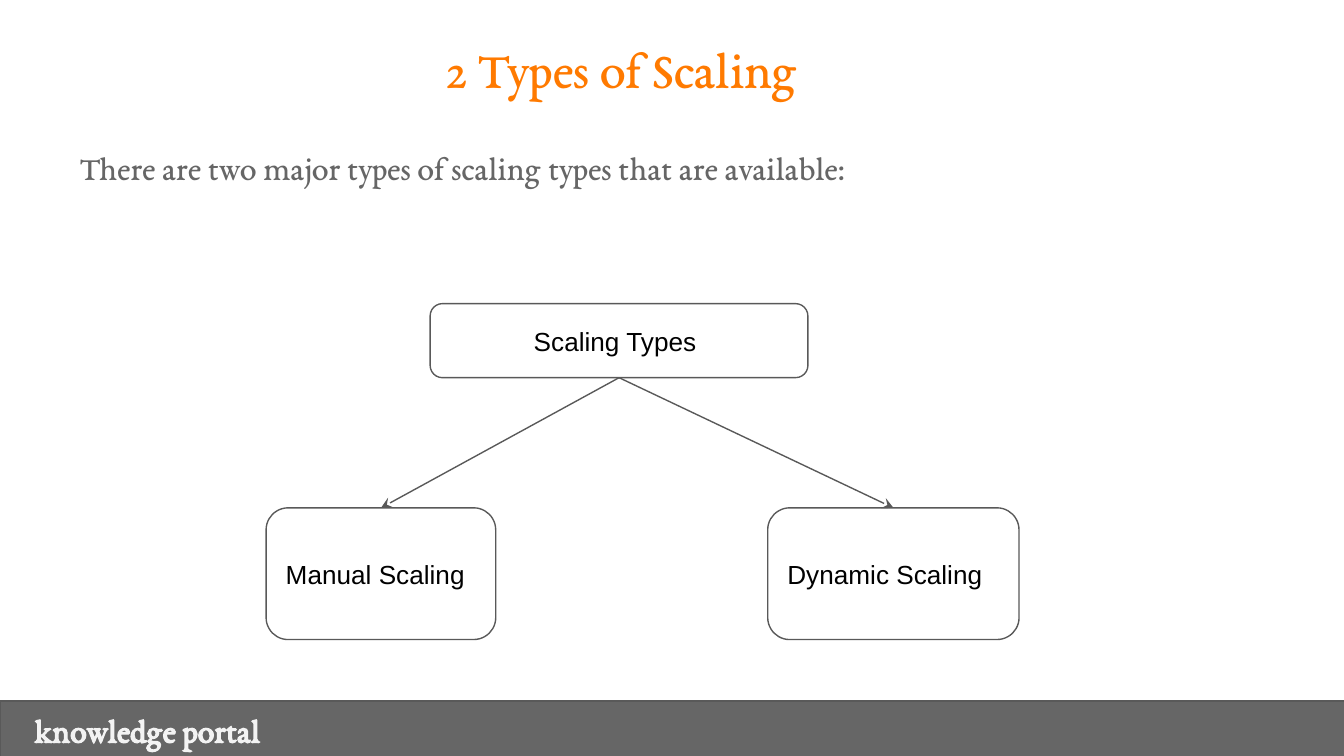
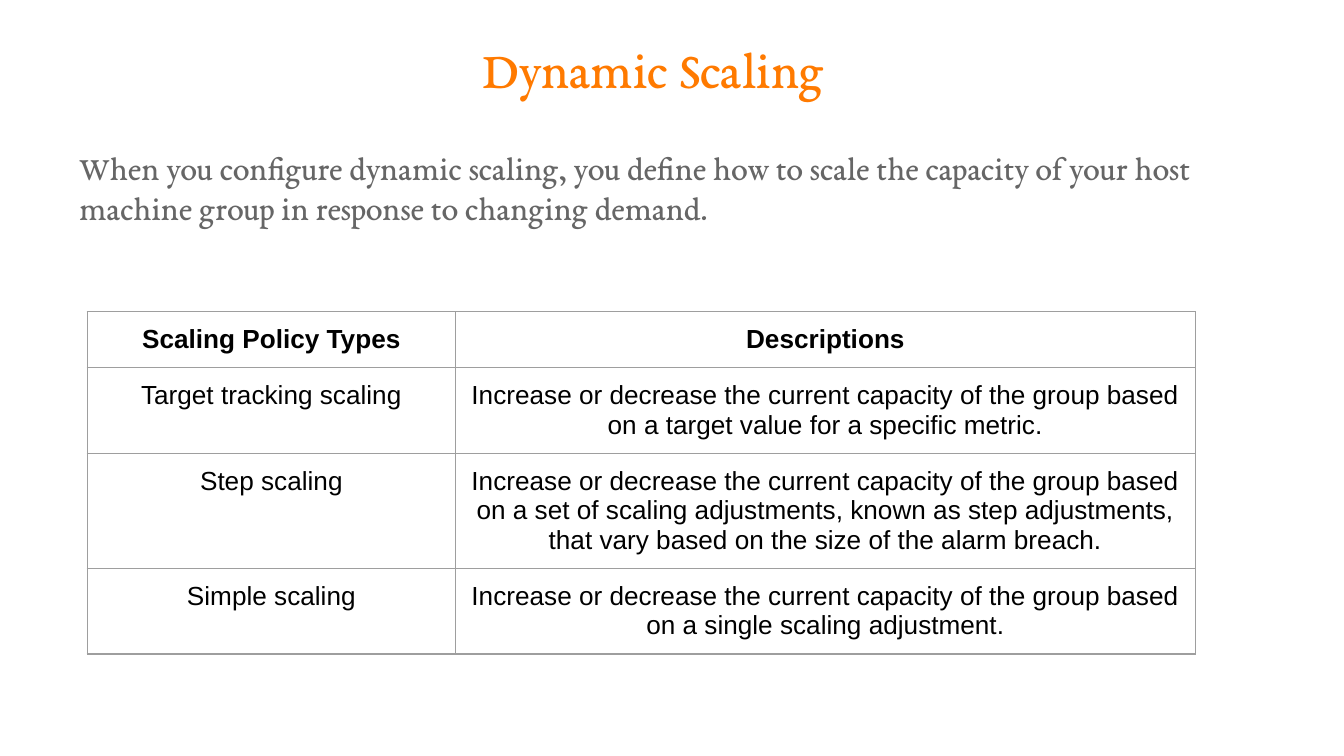
"""Build two slides about the types of scaling."""
from dataclasses import dataclass

from lxml import etree
from pptx import Presentation
from pptx import util as u
from pptx.dml.color import RGBColor
from pptx.enum import shapes, text
from pptx.oxml.ns import qn

COLORS = {
    "title": "FF7A00",
    "body": "666666",
    "band": "666666",
    "outline": "595959",
    "footer": "F3F3F3",
    "label": "000000",
    "grid": "9E9E9E",
}
SERIF, SANS = "EB Garamond", "Arial"
INSET = u.Cm(0.25)
LINE_WIDTH = u.Pt(0.75)
CENTER = text.PP_ALIGN.CENTER
LEFT = text.PP_ALIGN.LEFT
TOP, BOTTOM = 0, 2


@dataclass(frozen=True)
class Box:
    """A rounded box of the scaling tree, in centimetres."""

    label: str
    left: float
    top: float
    width: float
    height: float
    indent: float = 0


@dataclass(frozen=True)
class Policy:
    """A table row and its height in centimetres."""

    name: str
    description: str
    height: float
    bold: bool = False


ROOT = Box("Scaling Types", 8.13, 5.74, 7.14, 1.4, 1.64)
BRANCHES = (
    Box("Manual Scaling", 5.03, 9.6, 4.34, 2.49),
    Box("Dynamic Scaling", 14.51, 9.6, 4.75, 2.49),
)
CHANGE = "Increase or decrease the current capacity of the group based on a "
POLICIES = (
    Policy("Scaling Policy Types", "Descriptions", 1.06, True),
    Policy("Target tracking scaling", CHANGE + "target value for a specific metric.", 1.62),
    Policy(
        "Step scaling",
        CHANGE + "set of scaling adjustments, known as step adjustments, "
        "that vary based on the size of the alarm breach.",
        2.17,
    ),
    Policy("Simple scaling", CHANGE + "single scaling adjustment.", 1.62),
)
COLUMN_WIDTHS = (6.96, 13.98)


def color(name: str) -> RGBColor:
    """Return a palette colour."""
    return RGBColor.from_string(COLORS[name])


def write(frame, content: str, *, size: float = 14, font: str = SANS, ink: str = "label",
          bold: bool = False, align=LEFT, anchor=text.MSO_ANCHOR.TOP, indent: float = 0) -> None:
    """Put formatted text into a text frame."""
    frame.word_wrap = True
    frame.auto_size = text.MSO_AUTO_SIZE.NONE
    frame.vertical_anchor = anchor
    frame.margin_left = frame.margin_right = frame.margin_top = frame.margin_bottom = INSET
    format_paragraph(frame.paragraphs[0], content, size, font, ink, bold, align, indent)


def format_paragraph(paragraph, content: str, size: float, font: str, ink: str,
                     bold: bool, align, indent: float) -> None:
    """Fill one paragraph and set its format."""
    paragraph.alignment = align
    if indent:
        paragraph._p.get_or_add_pPr().set("marL", str(u.Cm(indent)))
    run = paragraph.add_run()
    run.text = content
    run.font.size = u.Pt(size)
    run.font.name = font
    run.font.bold = bold
    run.font.color.rgb = color(ink)


def add_slide(presentation, title: str, intro: str, intro_height: float, **title_format):
    """Add a slide with its title and introduction."""
    slide = presentation.slides.add_slide(presentation.slide_layouts[5])
    heading = slide.shapes.title
    heading.left, heading.top = u.Cm(0.38), u.Cm(0.43)
    heading.width, heading.height = u.Cm(23.93), u.Cm(1.07)
    write(heading.text_frame, title, size=28, font=SERIF, ink="title", **title_format)
    body = slide.shapes.add_textbox(u.Cm(1.25), u.Cm(2.52), u.Cm(21.77), u.Cm(intro_height))
    write(body.text_frame, intro, size=18, font=SERIF, ink="body")
    return slide


def add_outlined(slide, kind, left: float, top: float, width: float, height: float):
    """Add an unfilled shape with the shared outline."""
    shape = slide.shapes.add_shape(kind, u.Cm(left), u.Cm(top), u.Cm(width), u.Cm(height))
    shape.shadow.inherit = False
    shape.fill.background()
    shape.line.color.rgb = color("outline")
    shape.line.width = LINE_WIDTH
    return shape


def add_footer(slide) -> None:
    """Draw the footer band."""
    band = add_outlined(slide, shapes.MSO_SHAPE.RECTANGLE, 0, 13.25, 25.45, 1.07)
    band.fill.solid()
    band.fill.fore_color.rgb = color("band")
    write(band.text_frame, "knowledge portal", size=18, font=SERIF, ink="footer", bold=True,
          anchor=text.MSO_ANCHOR.MIDDLE, indent=0.4)


def add_box(slide, box: Box):
    """Draw a box of the tree."""
    shape = add_outlined(slide, shapes.MSO_SHAPE.ROUNDED_RECTANGLE,
                         box.left, box.top, box.width, box.height)
    write(shape.text_frame, box.label, anchor=text.MSO_ANCHOR.MIDDLE, indent=box.indent)
    return shape


def add_arrow(slide, start, end) -> None:
    """Join the bottom of one shape to the top of another."""
    connector = slide.shapes.add_connector(shapes.MSO_CONNECTOR.STRAIGHT, 0, 0, 0, 0)
    connector.begin_connect(start, BOTTOM)
    connector.end_connect(end, TOP)
    connector.line.color.rgb = color("outline")
    connector.line.width = LINE_WIDTH
    properties = connector._element.spPr
    etree.SubElement(properties.find(qn("a:ln")), qn("a:tailEnd"), type="stealth")
    etree.SubElement(properties, qn("a:effectLst"))


def add_cell_borders(cell) -> None:
    """Draw the four borders of a cell."""
    properties = cell._tc.get_or_add_tcPr()
    for side in ("a:lnL", "a:lnR", "a:lnT", "a:lnB"):
        line = etree.SubElement(properties, qn(side), w=str(LINE_WIDTH))
        fill = etree.SubElement(line, qn("a:solidFill"))
        etree.SubElement(fill, qn("a:srgbClr"), val=COLORS["grid"])


def add_policy_table(slide) -> None:
    """Draw the table of scaling policies."""
    height = sum(policy.height for policy in POLICIES)
    table = slide.shapes.add_table(len(POLICIES), len(COLUMN_WIDTHS), u.Cm(1.65), u.Cm(5.89),
                                   u.Cm(sum(COLUMN_WIDTHS)), u.Cm(height)).table
    table.first_row = table.horz_banding = False
    for column, width in zip(table.columns, COLUMN_WIDTHS):
        column.width = u.Cm(width)
    for row, policy in zip(table.rows, POLICIES):
        row.height = u.Cm(policy.height)
        for cell, content in zip(row.cells, (policy.name, policy.description)):
            add_cell_borders(cell)
            cell.fill.background()
            cell.margin_left = cell.margin_right = cell.margin_top = cell.margin_bottom = INSET
            format_paragraph(cell.text_frame.paragraphs[0], content, 14, SANS, "label",
                             policy.bold, CENTER, 0)


def build_types_slide(presentation) -> None:
    """Build the slide with the tree of scaling types."""
    slide = add_slide(presentation, "2 Types of Scaling",
                      "There are two major types of scaling types that are available:",
                      4.14, indent=7.78)
    add_footer(slide)
    root = add_box(slide, ROOT)
    branches = [add_box(slide, box) for box in BRANCHES]
    for branch in branches:
        add_arrow(slide, root, branch)


def build_dynamic_slide(presentation) -> None:
    """Build the slide with the policy table."""
    slide = add_slide(presentation, "Dynamic Scaling",
                      "When you configure dynamic scaling, you define how to scale the capacity "
                      "of your host machine group in response to changing demand.",
                      1.98, align=CENTER)
    add_policy_table(slide)


def main() -> None:
    """Build and save the presentation."""
    presentation = Presentation()
    presentation.slide_width, presentation.slide_height = u.Cm(25.4), u.Cm(14.29)
    build_types_slide(presentation)
    build_dynamic_slide(presentation)
    presentation.save("out.pptx")


if __name__ == "__main__":
    main()
